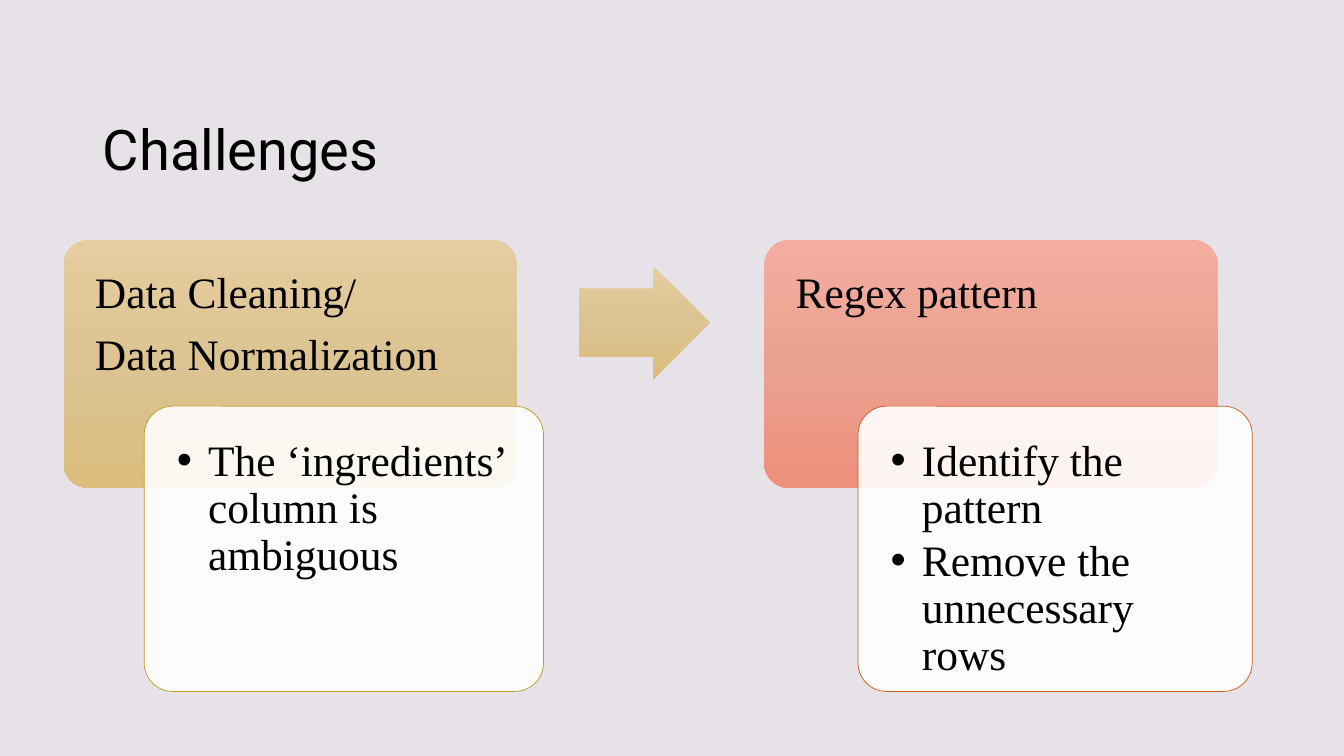
import dataclasses

import lxml.etree
import pptx
import pptx.dml.color
import pptx.enum.shapes
import pptx.enum.text
import pptx.oxml
import pptx.oxml.ns
import pptx.util

SHAPE = pptx.enum.shapes.MSO_SHAPE
ANCHOR = pptx.enum.text.MSO_ANCHOR
WIDE, HIGH = pptx.util.Inches(13.33), pptx.util.Inches(7.5)


@dataclasses.dataclass(frozen=True)
class Theme:
    back: str = "E6E2E8"
    ink: str = "000000"
    paper: str = "FFFFFF"
    gold: tuple = ("E6CD9F", "DBC392", "DBBD7D")
    coral: tuple = ("F2AD9E", "EBA191", "ED907C")
    edges: tuple = ("C09C22", "D55B17")
    head: str = "Roboto"
    body: str = "Times New Roman"
    big: int = 40
    mid: int = 31


THEME = Theme()

# Grid in percent of the slide: left, top, width, height
TITLE = (6.9, 8.53, 86.27, 16.27)
ARROW = (43.06, 35.2, 9.75, 14.93)
CARDS = [(4.73, 31.73, 33.76, 32.8), (56.86, 31.73, 33.76, 32.8)]
PANELS = [(10.73, 53.73, 29.71, 37.73), (63.84, 53.73, 29.33, 37.73)]
PAD = (0.63, 1.1)

HEADS = [["Data Cleaning/", "Data Normalization"], ["Regex pattern"]]
LISTS = [
    ["The ‘ingredients’ column is ambiguous"],
    ["Identify the pattern", "Remove the unnecessary rows"],
]


def rgb(code):
    return pptx.dml.color.RGBColor.from_string(code)


def place(area):
    x, y, w, h = area
    return [round(size * part / 100)
            for size, part in ((WIDE, x), (HIGH, y), (WIDE, w), (HIGH, h))]


def move(shape, area):
    shape.left, shape.top, shape.width, shape.height = place(area)


def sub(node, tag, **attrs):
    return lxml.etree.SubElement(node, pptx.oxml.ns.qn(tag), **attrs)


def bullet(para):
    props = para._p.get_or_add_pPr()
    hang = pptx.util.Inches(0.31)
    props.set("marL", str(hang))
    props.set("indent", str(-hang))
    sub(props, "a:buFont", typeface="Arial")
    sub(props, "a:buChar", char="•")


def write(shape, lines, font=THEME.body, size=THEME.mid, after=0,
          inset=None, anchor=ANCHOR.TOP, dots=False):
    frame = shape.text_frame
    frame.word_wrap = True
    frame.auto_size = pptx.enum.text.MSO_AUTO_SIZE.NONE
    frame.vertical_anchor = anchor
    if inset:
        frame.margin_left = frame.margin_right = pptx.util.Inches(inset)
        frame.margin_top = frame.margin_bottom = pptx.util.Inches(inset)
    frame.text = "\n".join(lines)
    for para in frame.paragraphs:
        para.alignment = pptx.enum.text.PP_ALIGN.LEFT
        para.line_spacing = 0.9
        para.space_before = pptx.util.Pt(0)
        para.space_after = pptx.util.Pt(after * size)
        if dots:
            bullet(para)
        for run in para.runs:
            run.font.name = font
            run.font.size = pptx.util.Pt(size)
            run.font.color.rgb = rgb(THEME.ink)


def block(slide, kind, area, adjust):
    shape = slide.shapes.add_shape(kind, *place(area))
    shape.shadow.inherit = False
    shape.line.fill.background()
    for slot, value in enumerate(adjust):
        shape.adjustments[slot] = value
    return shape


def blend(shape, tones):
    """Fill from top to bottom through evenly spaced tones."""
    shape.fill.gradient()
    shape.fill.gradient_angle = 270
    stops = shape._element.spPr.find(".//" + pptx.oxml.ns.qn("a:gsLst"))
    for stop in list(stops):
        stops.remove(stop)
    for slot, tone in enumerate(tones):
        share = slot * 100000 // (len(tones) - 1)
        stop = sub(stops, "a:gs", pos=str(share))
        sub(stop, "a:srgbClr", val=tone)


def card(slide, area, tones, lines):
    shape = block(slide, SHAPE.ROUNDED_RECTANGLE, area, [0.1])
    blend(shape, tones)
    write(shape, lines, after=0.35, inset=0.24)


def panel(slide, area, edge, holder, lines):
    shape = block(slide, SHAPE.ROUNDED_RECTANGLE, area, [0.1])
    shape.fill.solid()
    shape.fill.fore_color.rgb = rgb(THEME.paper)
    tone = shape._element.spPr.find(".//" + pptx.oxml.ns.qn("a:srgbClr"))
    sub(tone, "a:alpha", val="90000")
    shape.line.color.rgb = rgb(edge)
    shape.line.width = pptx.util.Pt(0.5)
    # The list sits inside the panel and in front of it
    x, y, w, h = area
    across, down = PAD
    move(holder, (x + across, y + down, w - 2 * across, h - 2 * down))
    slide.shapes._spTree.append(holder._element)
    write(holder, lines, after=0.15, inset=0.24, dots=True)


def main():
    deck = pptx.Presentation()
    deck.slide_width, deck.slide_height = WIDE, HIGH
    slide = deck.slides.add_slide(deck.slide_layouts.get_by_name("Two Content"))
    slide.background.fill.solid()
    slide.background.fill.fore_color.rgb = rgb(THEME.back)

    # Title
    title = slide.shapes.title
    move(title, TITLE)
    write(title, ["Challenges"], font=THEME.head, size=THEME.big,
          anchor=ANCHOR.BOTTOM)

    # Two steps, each a card with a list panel
    holders = [slide.placeholders[1], slide.placeholders[2]]
    tones = [THEME.gold, THEME.coral]
    for step, holder in enumerate(holders):
        card(slide, CARDS[step], tones[step], HEADS[step])
        panel(slide, PANELS[step], THEME.edges[step], holder, LISTS[step])

    # Arrow from the first step to the second
    arrow = block(slide, SHAPE.RIGHT_ARROW, ARROW, [0.6, 0.5])
    blend(arrow, THEME.gold)

    deck.save("out.pptx")


if __name__ == "__main__":
    main()
